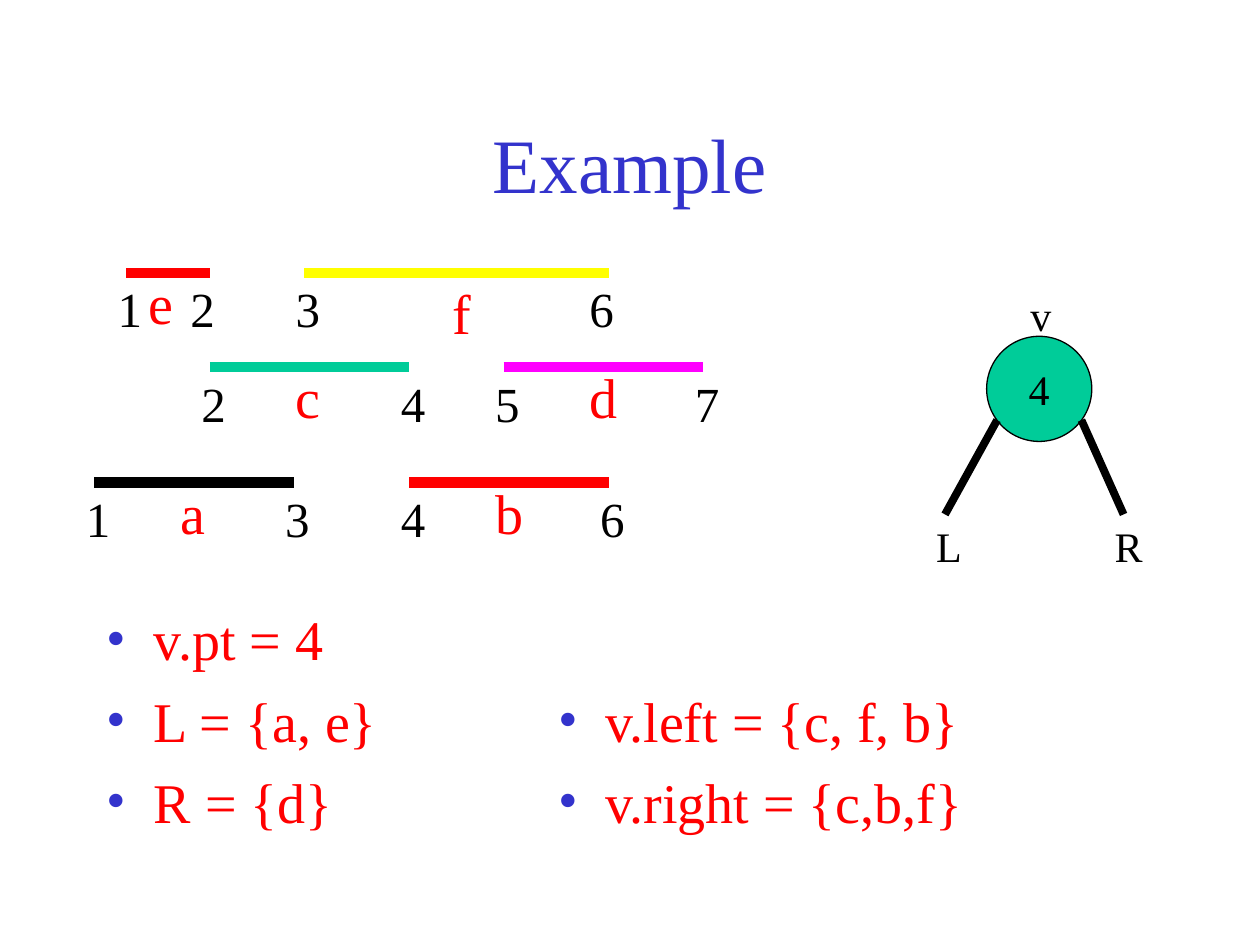
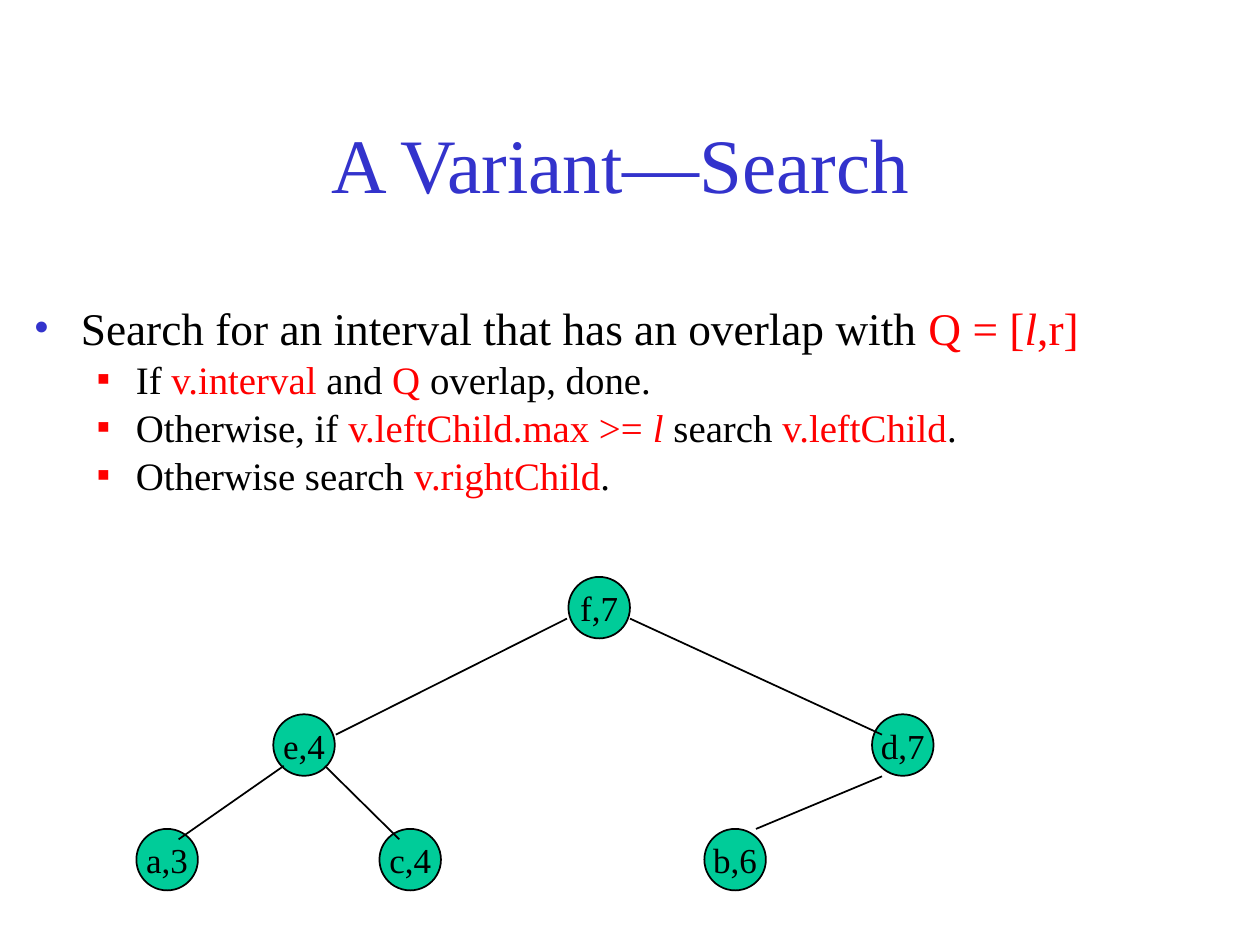
from dataclasses import dataclass

from lxml.etree import SubElement
from pptx import Presentation
from pptx.dml.color import RGBColor
from pptx.enum.shapes import MSO_CONNECTOR as Link, MSO_SHAPE as Shape
from pptx.enum.text import MSO_ANCHOR as Anchor, PP_ALIGN as Align
from pptx.oxml.ns import qn
from pptx.util import Cm, Pt


@dataclass(frozen=True)
class Theme:
    """Colours, font and type sizes of the deck."""
    font: str = "Times New Roman"
    title: str = "3333CC"
    ink: str = "000000"
    accent: str = "FF0000"
    node: str = "00CC99"
    yellow: str = "FFFF00"
    magenta: str = "FF00FF"
    title_size: float = 44
    body_size: float = 32
    endpoint_size: float = 28
    vertex_size: float = 24
    node_size: float = 20
    search_size: float = 25.9
    step_size: float = 22.2


@dataclass(frozen=True)
class Bullet:
    """Mark, indents in cm and spacing of one list level."""
    mark: str
    colour: str
    margin: float
    hang: float
    before: float
    line: float = 1.0
    level: int = 0


THEME = Theme()
ANSWER = Bullet("•", THEME.title, 0.95, 0.95, 8)
SEARCH = Bullet("•", THEME.title, 0.95, 0.95, 7, 0.8)
STEP = Bullet("▪", THEME.accent, 2.06, 0.79, 6, 0.8, 1)

INTERVAL_ROWS = [
    (0, [
        ("e", THEME.accent, (1, 0.64), (2, 2.33), -0.64, (0.85, -0.21)),
        ("f", THEME.yellow, (3, 4.23), (6, 10.37), -0.64, (6.98, 0)),
    ]),
    (1.9, [
        ("c", THEME.node, (2, 2.33), (4, 6.35), -0.42, (3.81, -0.21)),
        ("d", THEME.magenta, (5, 8.25), (7, 12.28), -0.42, (9.74, -0.21)),
    ]),
    (4.23, [
        ("a", THEME.ink, (1, 0), (3, 4.02), -0.42, (1.48, -0.21)),
        ("b", THEME.accent, (4, 6.35), (6, 10.37), -0.42, (7.84, -0.21)),
    ]),
]

SEARCH_RULES = [
    (SEARCH, THEME.search_size,
     ["Search for an interval that has an overlap with ", "*Q = [", "/l", "*,r]"]),
    (STEP, THEME.step_size,
     ["If", "* v.interval ", "and", "* Q ", "overlap, done."]),
    (STEP, THEME.step_size,
     ["Otherwise, if ", "*v.leftChild.max >= ", "/l", " search ", "*v.leftChild", "."]),
    (STEP, THEME.step_size, ["Otherwise search ", "*v.rightChild", "."]),
]

SEARCH_NODES = [
    ("f,7", 8.71, 0), ("e,4", 2.76, 2.77), ("d,7", 14.83, 2.77),
    ("a,3", 0, 5.08), ("c,4", 4.9, 5.08), ("b,6", 11.45, 5.08),
]
SEARCH_EDGES = [
    ((8.68, 0.84), (4.02, 3.18)), ((9.95, 0.84), (15.03, 3.18)),
    ((2.97, 3.81), (0.85, 5.29)), ((3.8, 3.81), (5.3, 5.29)),
    ((15.03, 4.02), (12.49, 5.08)),
]


def style_run(run, size, colour, italic=False):
    """Set the font of one run."""
    run.font.name = THEME.font
    run.font.size = Pt(size)
    run.font.color.rgb = RGBColor.from_string(colour)
    run.font.italic = italic


def style_bullet(paragraph, bullet):
    """Give a paragraph its list mark, indent and spacing."""
    paragraph.level = bullet.level
    paragraph.space_before = Pt(bullet.before)
    paragraph.line_spacing = bullet.line
    properties = paragraph._p.get_or_add_pPr()
    properties.set("marL", str(Cm(bullet.margin)))
    properties.set("indent", str(-Cm(bullet.hang)))
    colour = SubElement(properties, qn("a:buClr"))
    SubElement(colour, qn("a:srgbClr"), val=bullet.colour)
    SubElement(properties, qn("a:buFont"), typeface=THEME.font)
    SubElement(properties, qn("a:buChar"), char=bullet.mark)


def add_frame(slide, left, top, width, height):
    """Add a wrapping text box and return its frame."""
    box = slide.shapes.add_textbox(Cm(left), Cm(top), Cm(width), Cm(height))
    box.text_frame.word_wrap = True
    return box.text_frame


def add_label(slide, text, left, top, width, height, size, colour=THEME.ink):
    """Add a short left-aligned label."""
    frame = add_frame(slide, left, top, width, height)
    frame.margin_right = 0
    frame.text = text
    style_run(frame.paragraphs[0].runs[0], size, colour)


def add_line(slide, start, end, width, colour=THEME.ink):
    """Draw a straight line between two points in cm."""
    line = slide.shapes.add_connector(Link.STRAIGHT, *map(Cm, start + end))
    line.line.width = Pt(width)
    line.line.color.rgb = RGBColor.from_string(colour)
    SubElement(line._element.spPr, qn("a:effectLst"))


def add_node(slide, text, left, top, diameter, size, outline):
    """Add a round tree node with its text."""
    node = slide.shapes.add_shape(
        Shape.OVAL, Cm(left), Cm(top), Cm(diameter), Cm(diameter))
    node.shadow.inherit = False
    node.fill.solid()
    node.fill.fore_color.rgb = RGBColor.from_string(THEME.node)
    node.line.color.rgb = RGBColor.from_string(THEME.ink)
    node.line.width = Pt(outline)
    frame = node.text_frame
    frame.margin_left = frame.margin_right = frame.margin_top = frame.margin_bottom = 0
    frame.word_wrap = False
    frame.vertical_anchor = Anchor.MIDDLE
    frame.text = text
    frame.paragraphs[0].alignment = Align.CENTER
    style_run(frame.paragraphs[0].runs[0], size, THEME.ink)


def add_titled_slide(deck, title):
    """Add a blank slide with the shared title."""
    slide = deck.slides.add_slide(deck.slide_layouts[6])
    frame = add_frame(slide, 1.9, 1.7, 21.6, 3.18)
    frame.vertical_anchor = Anchor.MIDDLE
    frame.text = title
    frame.paragraphs[0].alignment = Align.CENTER
    style_run(frame.paragraphs[0].runs[0], THEME.title_size, THEME.title)
    return slide


def add_intervals(slide, left, top):
    """Draw the intervals with their endpoints and names."""
    for row, intervals in INTERVAL_ROWS:
        y = top + row
        for name, colour, first, last, last_shift, (name_x, name_dy) in intervals:
            add_line(slide, (left + first[1], y), (left + last[1], y), 6, colour)
            for (value, x), shift in ((first, -0.42), (last, last_shift)):
                add_label(slide, str(value), left + x + shift, y, 1.06, 1.44,
                          THEME.endpoint_size)
            add_label(slide, name, left + name_x, y + name_dy, 1.06, 1.63,
                      THEME.body_size, THEME.accent)


def add_vertex(slide, left, top):
    """Draw vertex v with its branches L and R."""
    add_node(slide, "4", left + 1.27, top + 1.06, 2.12, THEME.vertex_size, 0.75)
    for start_x, end_x in ((1.48, 0.43), (3.18, 4.03)):
        add_line(slide, (left + start_x, top + 2.75), (left + end_x, top + 4.65), 4.5)
    for name, x, y in (("v", 1.9, 0), ("L", 0, 4.65), ("R", 3.6, 4.65)):
        add_label(slide, name, left + x, top + y, 0.85, 1.27, THEME.vertex_size)


def add_answers(slide, answers, left, top, width, height):
    """List the values found for the vertex."""
    frame = add_frame(slide, left, top, width, height)
    frame.text = "\n".join(answers)
    for paragraph in frame.paragraphs:
        style_bullet(paragraph, ANSWER)
        style_run(paragraph.runs[0], THEME.body_size, THEME.accent)


def add_search_rules(slide, left, top, width, height):
    """Write the search rules; * marks accent and / accent italics."""
    frame = add_frame(slide, left, top, width, height)
    for index, (bullet, size, pieces) in enumerate(SEARCH_RULES):
        paragraph = frame.add_paragraph() if index else frame.paragraphs[0]
        style_bullet(paragraph, bullet)
        for piece in pieces:
            marked = piece[0] in "*/"
            run = paragraph.add_run()
            run.text = piece[1:] if marked else piece
            style_run(run, size, THEME.accent if marked else THEME.ink, piece[0] == "/")


def add_search_tree(slide, left, top):
    """Draw the tree of intervals with their maxima."""
    for text, x, y in SEARCH_NODES:
        add_node(slide, text, left + x, top + y, 1.24, THEME.node_size, 1)
    for (x1, y1), (x2, y2) in SEARCH_EDGES:
        add_line(slide, (left + x1, top + y1), (left + x2, top + y2), 1)


def build_example(deck):
    """Build the interval example slide."""
    slide = add_titled_slide(deck, "Example")
    add_intervals(slide, 1.9, 5.5)
    add_vertex(slide, 18.62, 5.72)
    add_answers(slide, ["v.pt = 4", "L = {a, e}", "R = {d}"], 1.9, 12.07, 6.56, 6.98)
    add_answers(slide, ["v.left = {c, f, b}", "v.right = {c,b,f}"],
                11, 13.71, 11.43, 5.34)


def build_search(deck):
    """Build the search variant slide."""
    slide = add_titled_slide(deck, "A Variant—Search ")
    add_search_rules(slide, 0.43, 6.14, 24.13, 4.02)
    add_search_tree(slide, 2.75, 11.63)


def main():
    """Create and save the deck."""
    deck = Presentation()
    deck.slide_width, deck.slide_height = Cm(25.4), Cm(19.05)
    build_example(deck)
    build_search(deck)
    deck.save("out.pptx")


if __name__ == "__main__":
    main()
